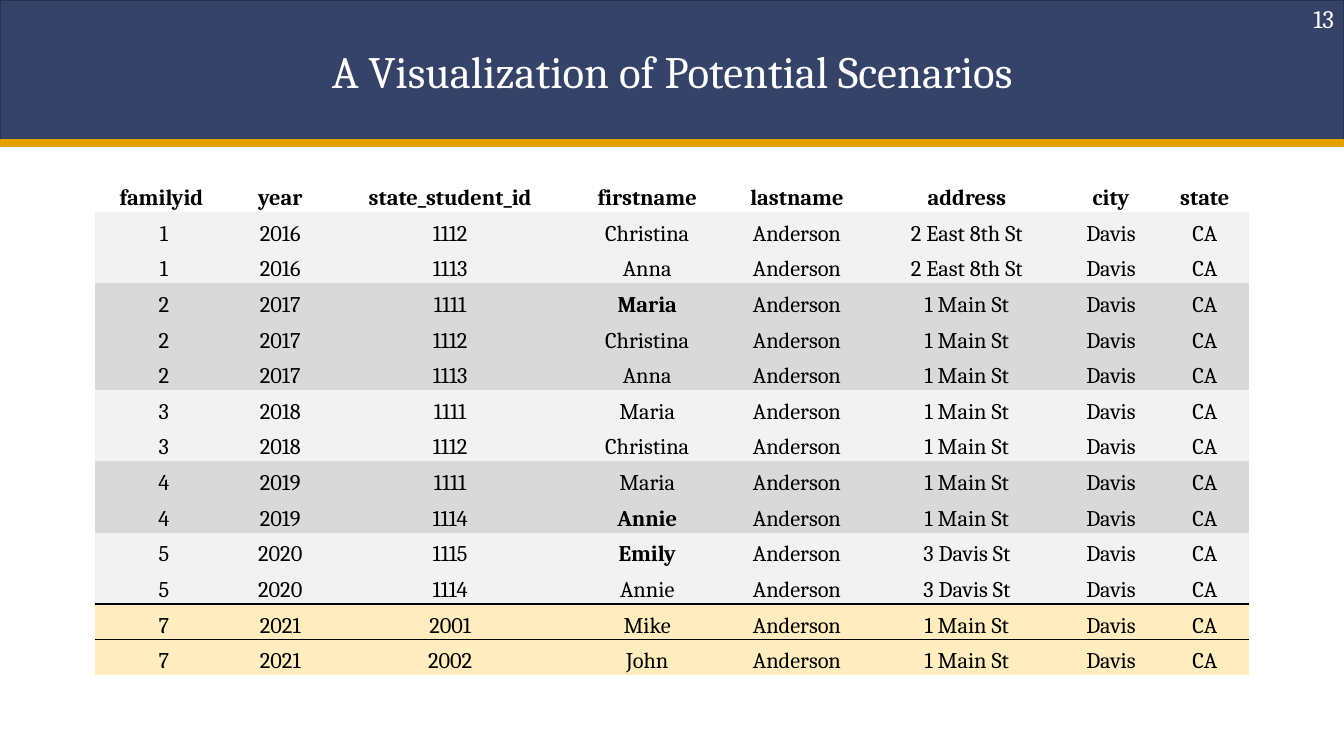
from lxml import etree
from pptx import Presentation
from pptx.dml.color import RGBColor
from pptx.enum import shapes, text
from pptx.oxml import ns
from pptx.util import Inches, Pt

COLORS = {
    "navy": "354369", "navy_edge": "27324E", "gold": "E2A100", "white": "FFFFFF",
    "black": "000000", "light": "F2F2F2", "dark": "D9D9D9", "highlight": "FFEDC0",
}
FONT = "Cambria"
NO_STYLE_NO_GRID = "{2D5ABB26-0587-4C30-8999-92F81FD0307C}"

HEADINGS = ["familyid ", "year", "state_student_id", "firstname",
            "lastname", "address", "city", "state"]
COLUMN_WIDTHS = [1.37, 0.94, 2.43, 1.48, 1.49, 1.88, 0.98, 0.88]
SHARED_LASTNAME, SHARED_CITY, SHARED_STATE = "Anderson", "Davis", "CA"
# familyid, year, state_student_id, firstname, address
STUDENTS = [
    ("1", "2016", "1112", "Christina", "2 East 8th St"),
    ("1", "2016", "1113", "Anna", "2 East 8th St"),
    ("2", "2017", "1111", "Maria", "1 Main St"),
    ("2", "2017", "1112", "Christina", "1 Main St"),
    ("2", "2017", "1113", "Anna", "1 Main St"),
    ("3", "2018", "1111", "Maria", "1 Main St"),
    ("3", "2018", "1112", "Christina", "1 Main St"),
    ("4", "2019", "1111", "Maria", "1 Main St"),
    ("4", "2019", "1114", "Annie", "1 Main St"),
    ("5", "2020", "1115", "Emily", "3 Davis St"),
    ("5", "2020", "1114", "Annie", "3 Davis St"),
    ("7", "2021", "2001", "Mike", "1 Main St"),
    ("7", "2021", "2002", "John", "1 Main St"),
]
BOLD_FIRSTNAMES = {("2017", "Maria"), ("2019", "Annie"), ("2020", "Emily")}
HIGHLIGHT_FAMILY = "7"
RULES_BELOW = {11: 1.5, 12: 0.75}  # table row: line width in points


def rgb(name):
    return RGBColor.from_string(COLORS[name])


def set_all(target, values):
    for attribute, value in values.items():
        setattr(target, attribute, value)


def write(frame, words, size, color, align, bold=False):
    paragraph = frame.paragraphs[0]
    paragraph.alignment = align
    run = paragraph.add_run()
    run.text = words
    set_all(run.font, {"name": FONT, "size": Pt(size), "bold": bold})
    run.font.color.rgb = rgb(color)
    return paragraph


def add_label(slide, words, box, size, align):
    frame = slide.shapes.add_textbox(*map(Inches, box)).text_frame
    set_all(frame, {"word_wrap": True, "vertical_anchor": text.MSO_ANCHOR.MIDDLE})
    return write(frame, words, size, "white", align)


def add_header(slide, left, top, width, height):
    """Navy band with a gold rule below, the title and the slide number."""
    band = slide.shapes.add_shape(shapes.MSO_SHAPE.RECTANGLE,
                                  *map(Inches, (left, top, width, height)))
    band.shadow.inherit = False
    band.fill.solid()
    band.fill.fore_color.rgb = rgb("navy")
    band.line.color.rgb = rgb("navy_edge")
    band.line.width = Pt(2)

    bottom, overhang = top + height, 0.03
    rule = slide.shapes.add_connector(
        shapes.MSO_CONNECTOR.STRAIGHT, Inches(left - overhang), Inches(bottom),
        Inches(left + width + overhang), Inches(bottom))
    rule.line.color.rgb = rgb("gold")
    rule.line.width = Pt(6)
    etree.SubElement(rule._element.spPr, ns.qn("a:effectLst"))

    add_label(slide, "A Visualization of Potential Scenarios",
              (left + 0.67, top + 0.08, 12, 1.25), 32, text.PP_ALIGN.CENTER)
    number = add_label(slide, "13", (left + width - 3.11, top, 3.11, 0.4), 18,
                       text.PP_ALIGN.RIGHT)
    set_all(number, {"line_spacing": 0.9, "space_after": Pt(6)})


def add_border(cell, side, width):
    """Draw a black line on one side of a cell: 'T' or 'B'."""
    line = etree.Element(ns.qn(f"a:ln{side}"), w=str(Pt(width)))
    fill = etree.SubElement(line, ns.qn("a:solidFill"))
    etree.SubElement(fill, ns.qn("a:srgbClr"), val=COLORS["black"])
    cell._tc.get_or_add_tcPr().insert(0, line)


def family_color(family):
    if family == HIGHLIGHT_FAMILY:
        return "highlight"
    return "light" if int(family) % 2 else "dark"


def fill_row(table, index, values, bold_columns, color=None):
    for column, value in enumerate(values):
        cell = table.cell(index, column)
        set_all(cell, {"vertical_anchor": text.MSO_ANCHOR.BOTTOM,
                       **{f"margin_{side}": Inches(0.01)
                          for side in ("left", "right", "top", "bottom")}})
        write(cell.text_frame, value, 16, "black", text.PP_ALIGN.CENTER,
              column in bold_columns)
        if color:
            cell.fill.solid()
            cell.fill.fore_color.rgb = rgb(color)
        else:
            cell.fill.background()
        if index in RULES_BELOW:
            add_border(cell, "B", RULES_BELOW[index])
        if index - 1 in RULES_BELOW:
            add_border(cell, "T", RULES_BELOW[index - 1])


def add_student_table(slide, left, top, width, height):
    row_count = len(STUDENTS) + 1
    table = slide.shapes.add_table(row_count, len(HEADINGS),
                                   *map(Inches, (left, top, width, height))).table
    set_all(table, {"first_row": False, "horz_banding": False})
    table._tbl.tblPr.find(ns.qn("a:tableStyleId")).text = NO_STYLE_NO_GRID
    for column, column_width in zip(table.columns, COLUMN_WIDTHS):
        column.width = Inches(column_width)
    for row in table.rows:
        row.height = Inches(height / row_count)

    fill_row(table, 0, HEADINGS, range(len(HEADINGS)))
    for index, (family, year, student, firstname, address) in enumerate(STUDENTS, 1):
        values = (family, year, student, firstname, SHARED_LASTNAME,
                  address, SHARED_CITY, SHARED_STATE)
        bold = {HEADINGS.index("firstname")} if (year, firstname) in BOLD_FIRSTNAMES else ()
        fill_row(table, index, values, bold, family_color(family))


def main():
    deck = Presentation()
    set_all(deck, {"slide_width": Inches(13.33), "slide_height": Inches(7.5)})
    slide = deck.slides.add_slide(deck.slide_layouts[6])
    add_header(slide, 0, 0, 13.33, 1.42)
    add_student_table(slide, 0.94, 1.75, 11.45, 4.95)
    deck.save("out.pptx")


if __name__ == "__main__":
    main()
